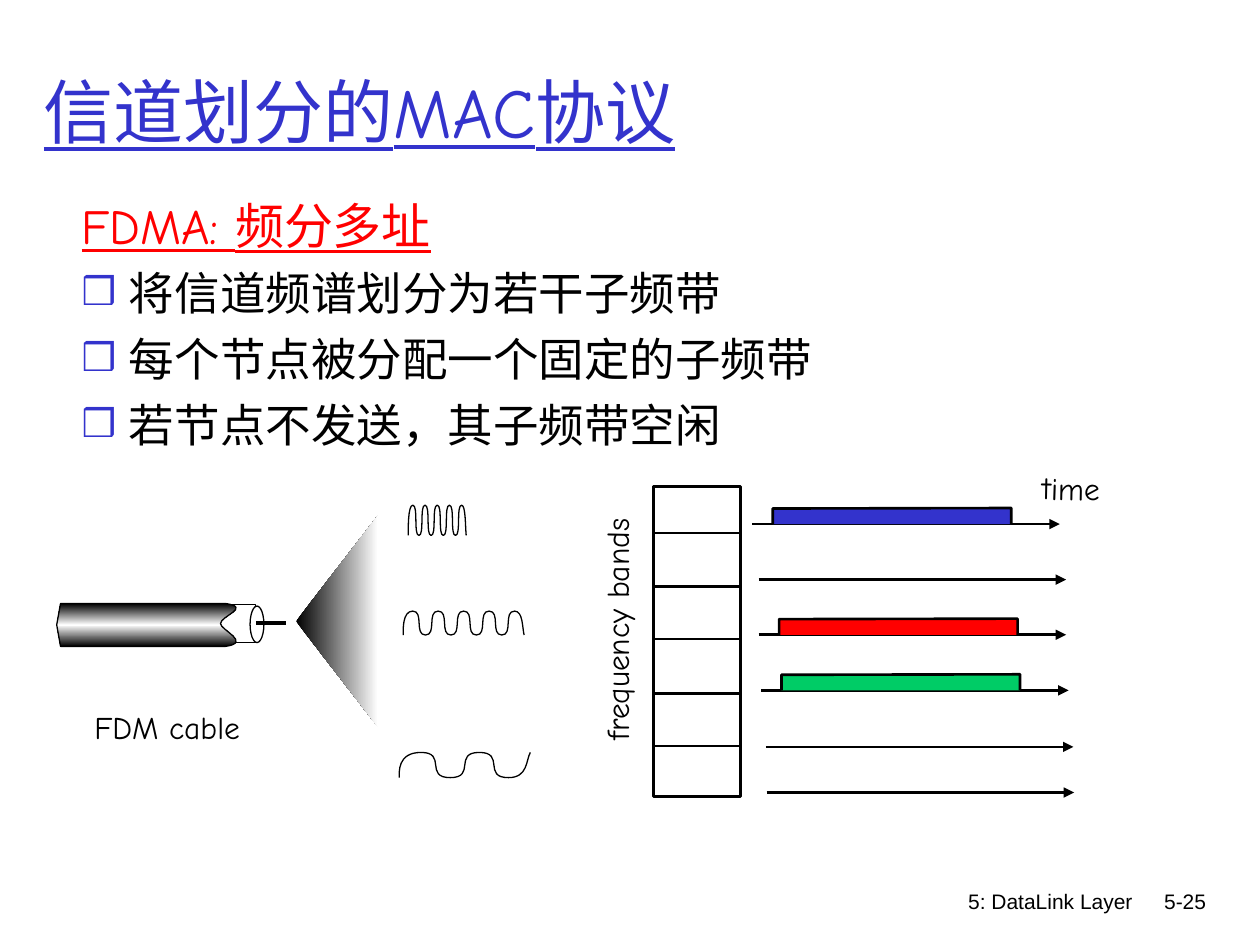
from copy import deepcopy

from pptx import Presentation
from pptx.dml.color import RGBColor
from pptx.enum import shapes, text
from pptx.oxml import ns, xmlchemy
from pptx.util import Pt

HAND_FONT = "Comic Neue"
BLACK, WHITE, BLUE, RED, GREEN = "000000", "FFFFFF", "3333CC", "FF0000", "00CC66"


def color(value):
    """Turn a hex string into a colour."""
    return RGBColor.from_string(value)


def add_child(parent, tag, **attributes):
    """Append a DrawingML element with the given attributes."""
    child = xmlchemy.OxmlElement(tag)
    for name, value in attributes.items():
        child.set(name, str(value))
    parent.append(child)


def format_paragraph(paragraph, content, size, font=HAND_FONT, ink=BLACK,
                     underline=False, align=text.PP_ALIGN.LEFT, before=0, bullet=None):
    """Fill one paragraph and apply its format."""
    paragraph.alignment = align
    paragraph.space_before = Pt(before)
    if bullet:
        properties = paragraph._p.get_or_add_pPr()
        properties.set("marL", str(Pt(27)))
        properties.set("indent", str(Pt(-27)))
        add_child(properties, "a:buClr")
        add_child(properties[-1], "a:srgbClr", val=BLUE)
        add_child(properties, "a:buSzPct", val=85000)
        add_child(properties, "a:buFont", typeface=font)
        add_child(properties, "a:buChar", char=bullet)
    run = paragraph.add_run()
    run.text = content
    run.font.size = Pt(size)
    run.font.name = font
    run.font.color.rgb = color(ink)
    run.font.underline = underline


def add_text(slide, content, box, wrap=True, anchor=text.MSO_ANCHOR.TOP, rotation=0, **style):
    """Add a text box holding one paragraph and return its frame."""
    shape = slide.shapes.add_textbox(*map(Pt, box))
    shape.rotation = rotation
    frame = shape.text_frame
    frame.word_wrap = wrap
    if not wrap:
        frame.auto_size = text.MSO_AUTO_SIZE.SHAPE_TO_FIT_TEXT
    frame.vertical_anchor = anchor
    format_paragraph(frame.paragraphs[0], content, **style)
    return frame


def paint(shape, fill=None, line=None):
    """Set a shape's fill colour and black outline width, or none."""
    shape.shadow.inherit = False
    if fill:
        shape.fill.solid()
        shape.fill.fore_color.rgb = color(fill)
    else:
        shape.fill.background()
    if line:
        shape.line.color.rgb = color(BLACK)
        shape.line.width = Pt(line)
    else:
        shape.line.fill.background()
    return shape


def paint_gradient(shape, colors, angle):
    """Fill a shape with evenly spaced gradient colours."""
    shape.fill.gradient()
    shape.fill.gradient_angle = angle
    stop_list = shape._element.spPr.find(".//" + ns.qn("a:gsLst"))
    while len(stop_list) < len(colors):
        stop_list.append(deepcopy(stop_list[0]))
    for index, (stop, value) in enumerate(zip(shape.fill.gradient_stops, colors)):
        stop.position = index / (len(colors) - 1)
        stop.color.rgb = color(value)


def add_shape(slide, kind, box, fill, line):
    """Add a painted preset shape."""
    return paint(slide.shapes.add_shape(kind, *map(Pt, box)), fill, line)


def add_outline(slide, start, segments, close=False, **style):
    """Add a freeform whose segments hold one point (straight) or three (cubic)."""
    builder = slide.shapes.build_freeform(Pt(start[0]), Pt(start[1]))
    points = [(Pt(x), Pt(y)) for segment in segments for x, y in segment]
    builder.add_line_segments(points, close=close)
    shape = builder.convert_to_shape()
    steps = iter(shape._element.spPr.findall(".//" + ns.qn("a:lnTo")))
    for segment in segments:
        group = [next(steps) for _ in segment]
        if len(group) == 3:
            curve = xmlchemy.OxmlElement("a:cubicBezTo")
            group[0].addprevious(curve)
            for step in group:
                curve.append(step[0])
                step.getparent().remove(step)
    return paint(shape, **style)


def straight(*points):
    """Turn points into straight segments."""
    return [(point,) for point in points]


def add_line(slide, start, end, width=1.5, arrow=False):
    """Add a straight black line, with an arrowhead at its end if asked."""
    line = slide.shapes.add_connector(shapes.MSO_CONNECTOR.STRAIGHT, *map(Pt, start + end))
    line.line.color.rgb = color(BLACK)
    line.line.width = Pt(width)
    if arrow:
        add_child(line.line._get_or_add_ln(), "a:tailEnd", type="triangle")
    add_child(line._element.spPr, "a:effectLst")


def add_wave(slide, box, swings):
    """Draw a rounded wave of equal swings with shorter end swings."""
    left, top, width, height = box
    step = width / (swings - 0.5)
    turns = [left] + [left + (index + 0.75) * step for index in range(swings - 1)] + [left + width]
    curves = []
    for index, (x0, x1) in enumerate(zip(turns, turns[1:])):
        y0, y1 = (top + height, top) if index % 2 == 0 else (top, top + height)
        span, rise = x1 - x0, y1 - y0
        out, back = (x0 + 0.9 * span, y0), (x0 + 0.1 * span, y1)
        if index == 0:
            out, back = (x0, y0 + 0.2 * rise), (x0 - 0.1 * span, y1)
        elif index == swings - 1:
            back = (x1 - 0.2 * span, y1 - 0.3 * rise)
        curves.append((out, back, (x1, y1)))
    add_outline(slide, (left, top + height), curves, line=0.75)


def add_body(slide, box):
    """Write the heading and the bulleted points."""
    frame = add_text(slide, "FDMA: 频分多址", box, size=28, ink=RED, underline=True)
    for point in ("将信道频谱划分为若干子频带", "每个节点被分配一个固定的子频带", "若节点不发送，其子频带空闲"):
        format_paragraph(frame.add_paragraph(), point, size=26, before=6.5, bullet="❒")


def add_bands(slide, left, top):
    """Draw the frequency bands and their time lines."""
    width, height = 49.7, 177.1
    add_shape(slide, shapes.MSO_SHAPE.RECTANGLE, (left, top, width, height), WHITE, 1.5)
    for offset in (26.6, 57.2, 87.1, 118.4, 148.3):
        add_line(slide, (left - 0.5, top + offset), (left + width - 0.7, top + offset))
    time_lines = ((56.4, 21.5, BLUE), (60, 53.2, None), (60, 84.7, RED),
                  (61.4, 116.5, GREEN), (64.2, 148.8, None), (64.6, 174.9, None))
    for x, y, fill in time_lines:
        x, y = left + x, top + y
        add_line(slide, (x, y), (x + 175.7, y), arrow=True)
        if fill:
            start, end = x + 11.7, x + 148
            corners = straight((start, y - 8.9), (end, y - 9.2), (end, y))
            add_outline(slide, (start, y), corners, fill=fill, line=1.5)
    add_text(slide, "frequency bands", (left - 92, top + 67, 141.8, 28.8),
             wrap=False, rotation=270, size=18)
    add_text(slide, "time", (left + 214.9, top - 13.5, 47.5, 28.8),
             wrap=False, rotation=1.1, size=18)


def add_cable(slide, left, top):
    """Draw the cable, its cone of signals and its caption."""
    cone = add_outline(slide, (left + 183.6, top), straight((left + 136.8, top + 60.5),
                       (left + 183.6, top + 121)), close=True)
    paint_gradient(cone, [BLACK, WHITE], 0)
    add_shape(slide, shapes.MSO_SHAPE.RECTANGLE, (left + 92.9, top + 51.1, 20.9, 21.6), WHITE, 0.75)
    upper, lower, end, bulge = top + 50.4, top + 74.9, left + 96.5, left + 111.6
    notch = (left + 93.6, top + 61.9)
    edges = straight((left, top + 62.6), (left + 2.2, lower), (end, lower))
    edges.append(((bulge, lower - 2.2), (notch[0], notch[1] + 3.6), notch))
    edges.append(((notch[0], notch[1] - 4.3), (bulge, upper + 2.2), (end, upper)))
    sheath = add_outline(slide, (left + 2.2, upper), edges, close=True, line=0.75)
    paint_gradient(sheath, [BLACK, WHITE, BLACK], 90)
    add_shape(slide, shapes.MSO_SHAPE.OVAL, (left + 110.5, top + 51.8, 7.9, 20.9), WHITE, 0.75)
    add_line(slide, (left + 113.8, top + 61.7), (left + 131, top + 61.7), width=2.25)
    for x, y, width, height, swings in ((200.9, -5.8, 33.1, 17.3, 10), (198, 54.7, 69.1, 13.7, 10),
                                        (195.8, 135.5, 74.9, 14.4, 5)):
        add_wave(slide, (left + x, top + y, width, height), swings)
    add_text(slide, "FDM cable", (left + 14.4, top + 106.8, 97.9, 28.8), wrap=False, size=18)


def add_footer(slide, top):
    """Write the chapter name and the page number."""
    for content, left, width in (("5: DataLink Layer", 426.2, 228.2), ("5-25", 643, 53.3)):
        add_text(slide, content, (left, top, width, 36), size=12, font="Arial",
                 align=text.PP_ALIGN.RIGHT)


def main():
    """Build the slide and save it."""
    presentation = Presentation()
    presentation.slide_width, presentation.slide_height = Pt(720), Pt(540)
    slide = presentation.slides.add_slide(presentation.slide_layouts[6])
    add_footer(slide, 504)
    add_text(slide, "信道划分的MAC协议", (18, 18, 680, 90), anchor=text.MSO_ANCHOR.MIDDLE,
             size=40, ink=BLUE, underline=True)
    add_body(slide, (39.6, 108, 647.3, 365.8))
    add_bands(slide, 373.5, 278)
    add_cable(slide, 32.4, 294.5)
    presentation.save("out.pptx")


if __name__ == "__main__":
    main()
